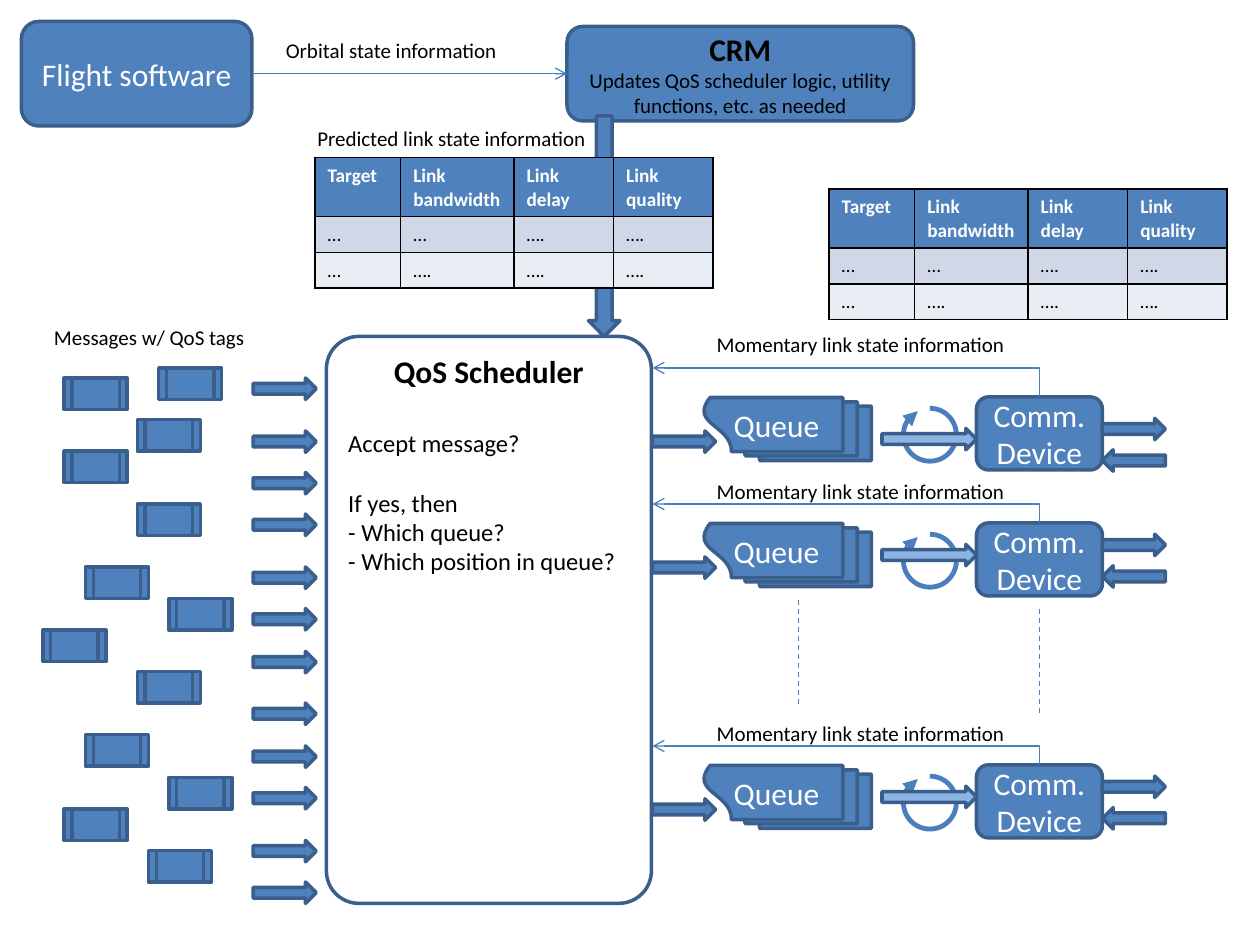
"""Build the QoS scheduler architecture slide."""
from pptx import Presentation
from pptx import util as u
from pptx.dml import color
from pptx.enum import dml, shapes, text
from pptx.oxml import ns, xmlchemy

I = u.Inches
SHAPE = shapes.MSO_SHAPE
ALIGN = text.PP_ALIGN
BLUE, EDGE, LINK, PALE = "4F81BD", "3A5F8C", "4B7EBC", "8EB4E3"
WHITE, BLACK = "FFFFFF", "000000"


def rgb(value):
    return color.RGBColor.from_string(value)


def add_node(parent, tag, **attrs):
    node = xmlchemy.OxmlElement(tag)
    for name, value in attrs.items():
        node.set(name, value)
    parent.append(node)
    return node


class Diagram:
    def __init__(self, slide, font="Calibri"):
        self.slide = slide
        self.font = font

    def add_lines(self, tf, lines, align=ALIGN.LEFT):
        tf.word_wrap = True
        for i, (words, size, ink, bold, *layout) in enumerate(lines):
            p = tf.paragraphs[0] if i == 0 else tf.add_paragraph()
            p.alignment = layout[0] if layout else align
            if len(layout) > 1:
                p.space_before = u.Pt(layout[1])
            r = p.add_run()
            r.text = words
            r.font.name, r.font.size, r.font.bold = self.font, u.Pt(size), bold
            r.font.color.rgb = rgb(ink)

    def shape(self, kind, x, y, w, h, lines=(), fill=BLUE, line=EDGE, width=2,
              anchor=text.MSO_ANCHOR.MIDDLE):
        s = self.slide.shapes.add_shape(kind, I(x), I(y), I(w), I(h))
        s.shadow.inherit = False
        if fill:
            s.fill.solid()
            s.fill.fore_color.rgb = rgb(fill)
        else:
            s.fill.background()
        s.line.color.rgb = rgb(line)
        s.line.width = u.Pt(width)
        s.text_frame.vertical_anchor = anchor
        self.add_lines(s.text_frame, lines, ALIGN.CENTER)
        return s

    def arrow(self, x, y, w=0.5, kind=SHAPE.RIGHT_ARROW, fill=BLUE):
        return self.shape(kind, x, y, w, 0.17, fill=fill)

    def label(self, words, x, y, w):
        tf = self.slide.shapes.add_textbox(I(x), I(y), I(w), I(0.3)).text_frame
        tf.auto_size = text.MSO_AUTO_SIZE.SHAPE_TO_FIT_TEXT
        self.add_lines(tf, [(words, 12, BLACK, False)])

    def line(self, x1, y1, x2, y2, kind=shapes.MSO_CONNECTOR.STRAIGHT):
        s = self.slide.shapes.add_connector(kind, I(x1), I(y1), I(x2), I(y2))
        s.line.color.rgb = rgb(LINK)
        s.line.width = u.Pt(0.75)
        add_node(s.element.spPr, "a:effectLst")
        return s

    def dashes(self, x, top, bottom):
        self.line(x, top, x, bottom).line.dash_style = dml.MSO_LINE.DASH

    def arrowhead(self, s, tag="a:tailEnd", kind="arrow"):
        add_node(s.element.spPr.find(ns.qn("a:ln")), tag, type=kind)

    def feedback(self, x1, y1, x2, y2):
        s = self.line(x1, y1, x2, y2, shapes.MSO_CONNECTOR.ELBOW)
        s.element.spPr.find(ns.qn("a:prstGeom")).set("prst", "bentConnector2")
        self.arrowhead(s, "a:headEnd")

    def queue(self, x, y):
        s = self.shape(SHAPE.FLOWCHART_MULTIDOCUMENT, x, y, 0.5, 1.33,
                       [("Queue", 18, WHITE, False)])
        s.rotation = 90
        s.element.txBody.bodyPr.set("vert", "vert270")

    def cycle(self, x, y):
        s = self.shape(SHAPE.ARC, x, y, 0.42, 0.42, fill=None, line=LINK, width=2.75)
        s.adjustments[1] = 145.68
        self.arrowhead(s, kind="triangle")

    def table(self, x, y, rows, widths, heights, fills):
        tbl = self.slide.shapes.add_table(len(rows), len(widths), I(x), I(y),
                                          I(sum(widths)), I(sum(heights))).table
        for col, w in zip(tbl.columns, widths):
            col.width = I(w)
        for i, (row, h, fill) in enumerate(zip(rows, heights, fills)):
            tbl.rows[i].height = I(h)
            for j, words in enumerate(row):
                cell = tbl.cell(i, j)
                self.border(cell)
                cell.fill.solid()
                cell.fill.fore_color.rgb = rgb(fill)
                head = i == 0
                self.add_lines(cell.text_frame,
                               [(words, 11, WHITE if head else BLACK, head)])

    def border(self, cell):
        tcPr = cell._tc.get_or_add_tcPr()
        for side in ("a:lnL", "a:lnR", "a:lnT", "a:lnB"):
            ln = add_node(tcPr, side, w=str(u.Pt(1)))
            add_node(add_node(ln, "a:solidFill"), "a:srgbClr", val=BLACK)


def add_link_table(d, x, y):
    rows = [("Target", "Link bandwidth", "Link delay", "Link quality"),
            ("…", "…", "….", "…."), ("…", "….", "….", "….")]
    d.table(x, y, rows, (0.68, 0.9, 0.79, 0.79), (0.47, 0.28, 0.28),
            (BLUE, "D0D8E8", "E9EDF4"))


def add_lane(d, device, out, link, label):
    d.shape(SHAPE.ROUNDED_RECTANGLE, 7.75, device, 1, 0.58,
            [("Comm.", 18, WHITE, False), ("Device", 18, WHITE, False)])
    d.queue(6, device - 0.41)
    d.cycle(7.17, device + 0.09)
    d.arrow(7, out + 0.08, 0.75, fill=PALE)
    d.arrow(8.75, out)
    d.arrow(8.75, out + 0.25, kind=SHAPE.LEFT_ARROW)
    d.feedback(5.18, link, 8.25, device)
    d.label("Momentary link state information", 5.59, label, 2.67)
    d.arrow(5.18, device + 0.27)


def main():
    prs = Presentation()
    prs.slide_width, prs.slide_height = I(10), I(7.5)
    d = Diagram(prs.slides.add_slide(prs.slide_layouts[6]))

    d.shape(SHAPE.ROUNDED_RECTANGLE, 2.59, 2.67, 2.58, 4.5, [
        ("QoS Scheduler", 18, BLACK, True),
        ("Accept message?", 14, BLACK, False, ALIGN.LEFT, 22),
        ("If yes, then", 14, BLACK, False, ALIGN.LEFT, 17),
        ("- Which queue?", 14, BLACK, False, ALIGN.LEFT),
        ("- Which position in queue?", 14, BLACK, False, ALIGN.LEFT),
    ], fill=None, anchor=text.MSO_ANCHOR.TOP).adjustments[0] = 0.1

    for lane in ((3.15, 3.32, 2.92, 2.58), (4.15, 4.24, 4, 3.75), (6.07, 6.16, 5.92, 5.67)):
        add_lane(d, *lane)
    d.dashes(6.34, 4.76, 5.59)
    d.dashes(8.25, 4.83, 5.67)

    messages = ((1.26, 2.92), (0.51, 3), (0.51, 3.58), (1.09, 3.33), (1.09, 4),
                (0.68, 4.5), (0.34, 5), (1.09, 5.33), (0.68, 5.83), (1.34, 4.75),
                (0.51, 6.42), (1.34, 6.17), (1.18, 6.75))
    for x, y in messages:
        d.shape(SHAPE.FLOWCHART_PREDEFINED_PROCESS, x, y, 0.5, 0.25)
    for y in (3, 3.42, 3.75, 4.08, 4.5, 4.83, 5.17, 5.58, 5.92, 6.25, 6.67, 7):
        d.arrow(2.01, y)
    d.label("Messages w/ QoS tags", 0.33, 2.53, 2.08)

    flight = d.shape(SHAPE.ROUNDED_RECTANGLE, 0.17, 0.17, 1.83, 0.83,
                     [("Flight software", 18, WHITE, False)])
    crm = d.shape(SHAPE.ROUNDED_RECTANGLE, 4.5, 0.21, 2.75, 0.75, [
        ("CRM", 18, BLACK, True),
        ("Updates QoS scheduler logic, utility functions, etc. as needed", 12, BLACK, False)])
    orbit = d.line(2, 0.58, 4.5, 0.58)
    orbit.begin_connect(flight, 3)
    orbit.end_connect(crm, 1)
    d.arrowhead(orbit)
    d.label("Orbital state information", 2.17, 0.25, 2.08)
    d.label("Predicted link state information", 2.42, 0.95, 2.67)
    d.shape(SHAPE.DOWN_ARROW, 4.67, 0.92, 0.25, 1.75)
    add_link_table(d, 2.5, 1.25)
    add_link_table(d, 6.58, 1.5)
    prs.save("out.pptx")


if __name__ == "__main__":
    main()
